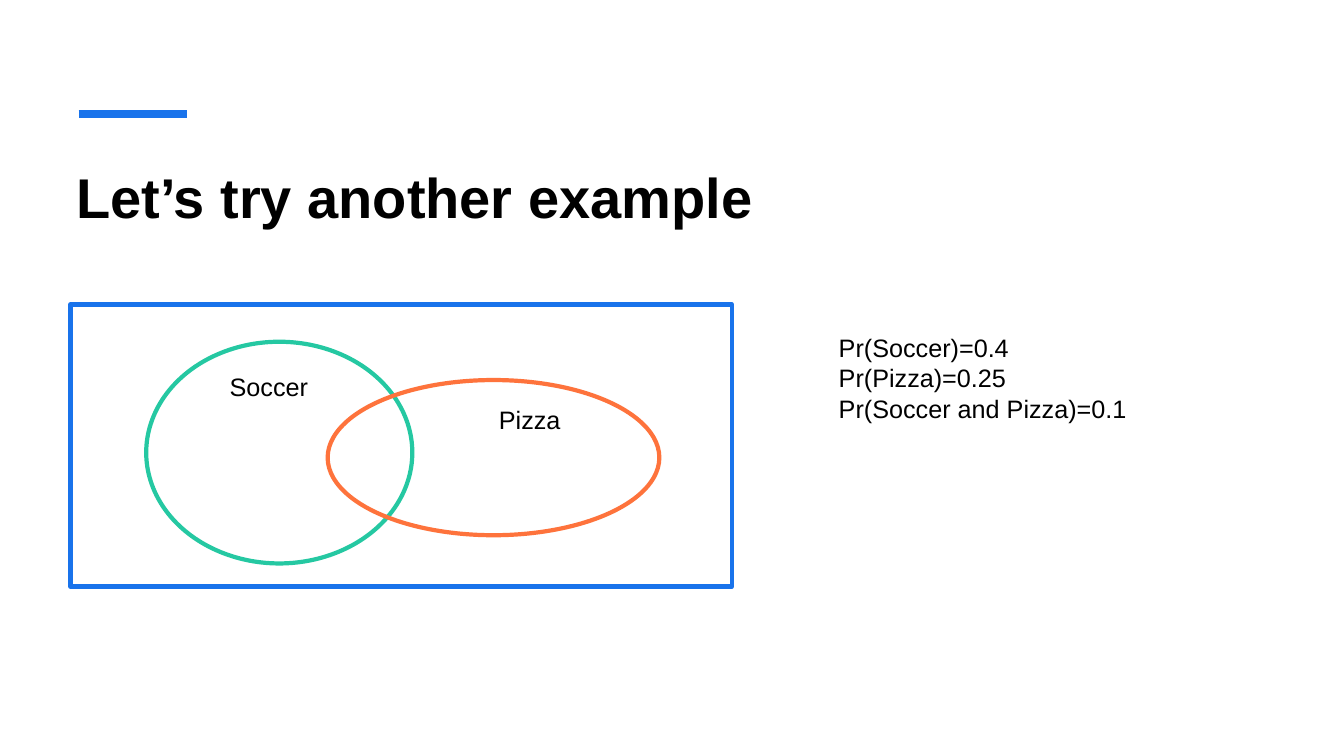
import pptx
import pptx.util
import pptx.dml.color
import pptx.enum.shapes
import pptx.enum.text
import lxml.etree
from dataclasses import dataclass

SHAPE = pptx.enum.shapes.MSO_SHAPE
WIDTH, HEIGHT = pptx.util.Inches(13.33), pptx.util.Inches(7.5)


@dataclass(frozen=True)
class Theme:
    font: str = "Arial"
    text: str = "000000"
    blue: str = "1973EB"
    green: str = "25C8A2"
    orange: str = "FE733C"
    title_size: int = 40
    body_size: int = 18
    outline: int = 3
    accent: int = 6


THEME = Theme()


def rgb(code):
    return pptx.dml.color.RGBColor.from_string(code)


def place(x, y, w, h):
    """Turn percentages of the slide's width and height into lengths."""
    return (int(WIDTH * x / 100), int(HEIGHT * y / 100),
            int(WIDTH * w / 100), int(HEIGHT * h / 100))


def set_line(sp, color, weight):
    sp.line.color.rgb = rgb(color)
    sp.line.width = pptx.util.Pt(weight)


def add_accent(s, x, y, w):
    left, top, width, _ = place(x, y, w, 0)
    line = s.shapes.add_connector(
        pptx.enum.shapes.MSO_CONNECTOR.STRAIGHT, left, top, left + width, top)
    set_line(line, THEME.blue, THEME.accent)
    lxml.etree.SubElement(line.element.spPr, pptx.oxml.ns.qn("a:effectLst"))


def add_outline(s, kind, box, color):
    sp = s.shapes.add_shape(kind, *place(*box))
    sp.shadow.inherit = False
    sp.fill.background()
    set_line(sp, color, THEME.outline)


def add_text(s, box, lines, size=THEME.body_size, bold=False):
    tf = s.shapes.add_textbox(*place(*box)).text_frame
    tf.word_wrap = True
    tf.vertical_anchor = pptx.enum.text.MSO_ANCHOR.TOP
    tf.text = "\n".join(lines)
    for p in tf.paragraphs:
        p.font.name = THEME.font
        p.font.size = pptx.util.Pt(size)
        p.font.bold = bold
        p.font.color.rgb = rgb(THEME.text)
    return tf


def main():
    prs = pptx.Presentation()
    prs.slide_width, prs.slide_height = WIDTH, HEIGHT
    s = prs.slides.add_slide(prs.slide_layouts[6])

    # Heading
    add_accent(s, 5.85, 15.07, 8.03)
    title = add_text(s, (5.25, 20, 89.35, 16), ["Let’s try another example"],
                     THEME.title_size, bold=True)
    title.margin_left = pptx.util.Inches(0.06)
    title.margin_top = pptx.util.Inches(0.11)

    # Venn diagram: sample space and the two events
    add_outline(s, SHAPE.RECTANGLE, (5.25, 40.27, 49.21, 37.33), THEME.blue)
    add_outline(s, SHAPE.OVAL, (10.88, 45.2, 19.8, 29.33), THEME.green)
    add_outline(s, SHAPE.OVAL, (24.38, 50.27, 24.68, 20.53), THEME.orange)
    add_text(s, (16.35, 48.4, 8.78, 5.33), ["Soccer"])
    add_text(s, (36.38, 52.8, 6.83, 5.33), ["Pizza"])

    # Probabilities
    add_text(s, (61.67, 43.33, 28.88, 13.47), [
        "Pr(Soccer)=0.4", "Pr(Pizza)=0.25", "Pr(Soccer and Pizza)=0.1"])

    prs.save("out.pptx")


if __name__ == "__main__":
    main()
